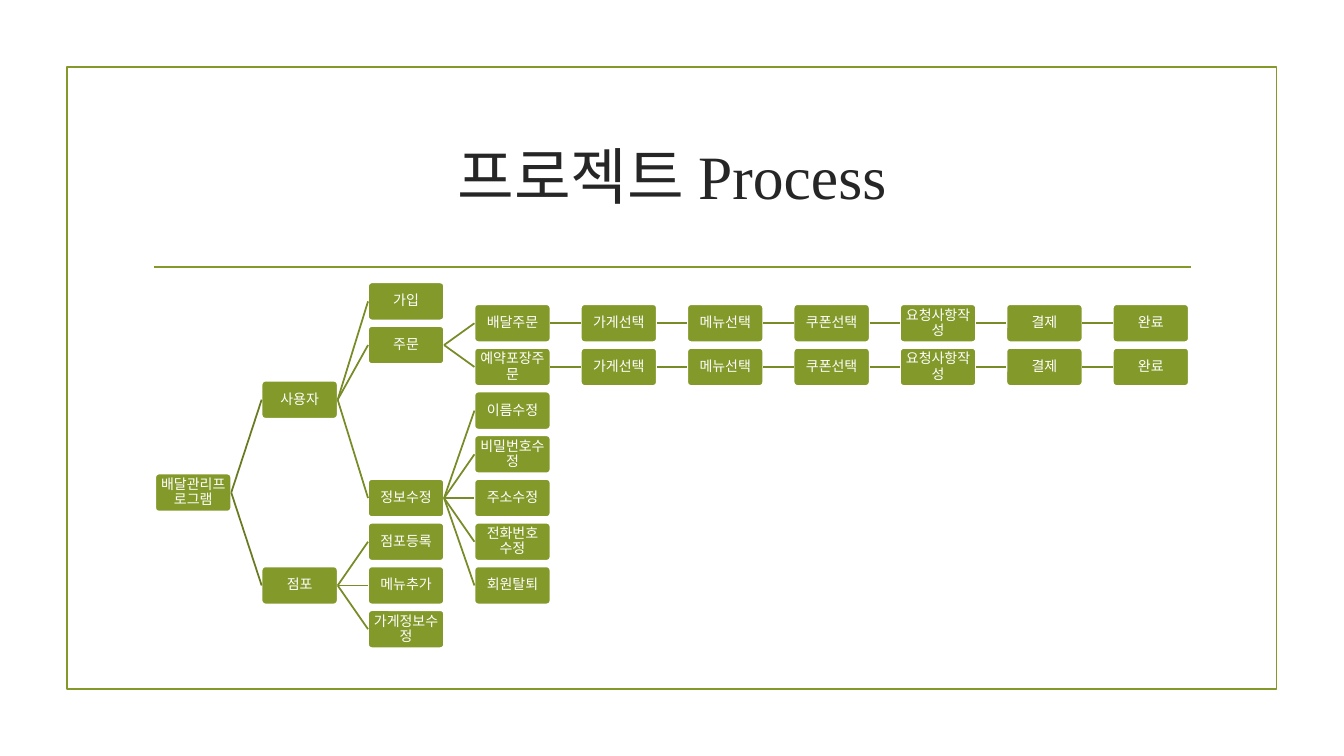
from lxml import etree
from pptx import Presentation
from pptx.dml.color import RGBColor
from pptx.enum.shapes import MSO_CONNECTOR, MSO_SHAPE
from pptx.enum.text import MSO_ANCHOR, PP_ALIGN
from pptx.oxml.ns import qn
from pptx.util import Pt

STRAIGHT = MSO_CONNECTOR.STRAIGHT
RECTANGLE = MSO_SHAPE.RECTANGLE
ROUNDED = MSO_SHAPE.ROUNDED_RECTANGLE
MIDDLE = MSO_ANCHOR.MIDDLE
CENTER = PP_ALIGN.CENTER
LEFT_SIDE, RIGHT_SIDE = 1, 3

COLORS = {"green": "83992A", "root_link": "697B22", "link": "778B26",
          "white": "FFFFFF", "title": "262626"}
FONT = "Times New Roman"
TREE_LEFT, TREE_TOP = 110.9, 201.7
COLUMN_STEP, ROW_STEP = 76, 31.22
BOX_WIDTH, BOX_HEIGHT = 54.3, 27.15
BOX_FRAME = {"word_wrap": True, "vertical_anchor": MIDDLE,
             "margin_left": Pt(1.5), "margin_right": Pt(1.5),
             "margin_top": Pt(1.5), "margin_bottom": Pt(1.5)}
TITLE_FRAME = {"word_wrap": True, "vertical_anchor": MIDDLE}

BRANCHES = [
    ("배달관리프로그램", 0, 4.375, None),
    ("사용자", 1, 2.25, "배달관리프로그램"),
    ("가입", 2, 0, "사용자"),
    ("주문", 2, 1, "사용자"),
    ("배달주문", 3, 0.5, "주문"),
    ("예약포장주문", 3, 1.5, "주문"),
    ("정보수정", 2, 4.5, "사용자"),
    ("이름수정", 3, 2.5, "정보수정"),
    ("비밀번호수정", 3, 3.5, "정보수정"),
    ("주소수정", 3, 4.5, "정보수정"),
    ("전화번호 수정", 3, 5.5, "정보수정"),
    ("회원탈퇴", 3, 6.5, "정보수정"),
    ("점포", 1, 6.5, "배달관리프로그램"),
    ("점포등록", 2, 5.5, "점포"),
    ("메뉴추가", 2, 6.5, "점포"),
    ("가게정보수정", 2, 7.5, "점포"),
]
ORDER_STEPS = ["가게선택", "메뉴선택", "쿠폰선택", "요청사항작성", "결제", "완료"]

deck = Presentation()
deck.slide_width, deck.slide_height = Pt(960), Pt(540)
page = deck.slides.add_slide(deck.slide_layouts[5])


def write(shape, text, size, color, frame_format):
    frame = shape.text_frame
    for name, value in frame_format.items():
        setattr(frame, name, value)
    para = frame.paragraphs[0]
    para.alignment = CENTER
    para.line_spacing = 0.9
    span = para.add_run()
    span.text = text
    span.font.name = FONT
    span.font.size = Pt(size)
    span.font.color.rgb = RGBColor.from_string(COLORS[color])


def add_step(label, column, row, parent):
    box = page.shapes.add_shape(
        ROUNDED, Pt(TREE_LEFT + column * COLUMN_STEP), Pt(TREE_TOP + row * ROW_STEP),
        Pt(BOX_WIDTH), Pt(BOX_HEIGHT))
    box.adjustments[0] = 0.1
    box.shadow.inherit = False
    box.fill.solid()
    box.fill.fore_color.rgb = RGBColor.from_string(COLORS["green"])
    box.line.color.rgb = RGBColor.from_string(COLORS["white"])
    box.line.width = Pt(1.25)
    write(box, label, 10, "white", BOX_FRAME)
    if parent is not None:
        link = page.shapes.add_connector(STRAIGHT, 0, 0, 0, 0)
        link.begin_connect(parent, RIGHT_SIDE)
        link.end_connect(box, LEFT_SIDE)
        color = "root_link" if column == 1 else "link"
        link.line.color.rgb = RGBColor.from_string(COLORS[color])
        link.line.width = Pt(1.25)
        etree.SubElement(link._element.spPr, qn("a:effectLst"))
    return box


border = page.shapes.add_shape(RECTANGLE, Pt(47.8), Pt(48), Pt(864), Pt(444))
border.shadow.inherit = False
border.fill.background()
rule = page.shapes.add_connector(STRAIGHT, Pt(110), Pt(190.8), Pt(850.5), Pt(190.8))
for outline in (border.line, rule.line):
    outline.color.rgb = RGBColor.from_string(COLORS["green"])
    outline.width = Pt(1.25)
etree.SubElement(rule._element.spPr, qn("a:effectLst"))

title = page.shapes.title
title.left, title.top, title.width, title.height = Pt(102), Pt(77), Pt(756), Pt(103)
write(title, "프로젝트 Process", 44, "title", TITLE_FRAME)

steps = {}
for label, column, row, parent in BRANCHES:
    steps[label] = add_step(label, column, row, steps.get(parent))

for order, row in (("배달주문", 0.5), ("예약포장주문", 1.5)):
    previous = steps[order]
    for column, label in enumerate(ORDER_STEPS, start=4):
        previous = add_step(label, column, row, previous)

deck.save("out.pptx")
